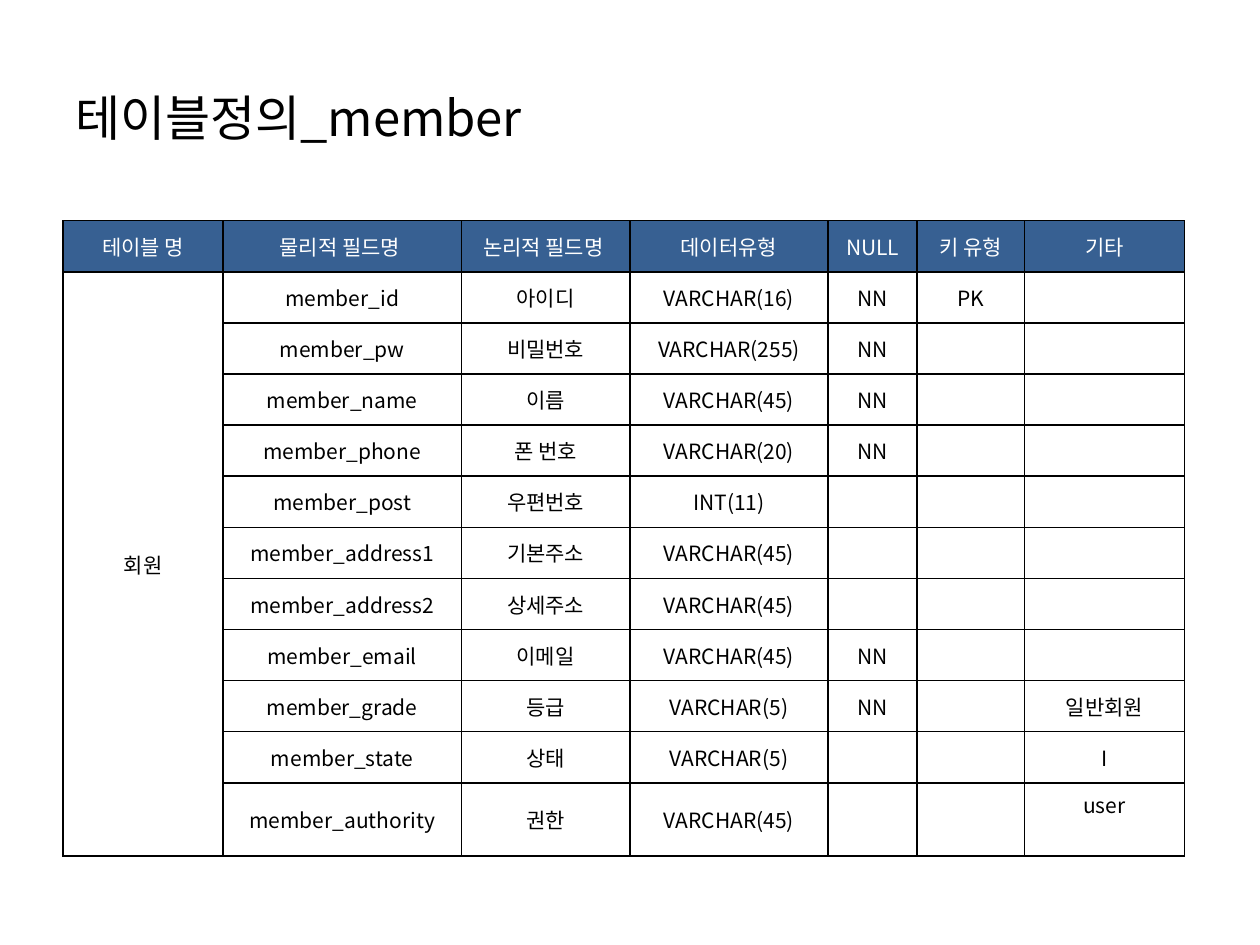
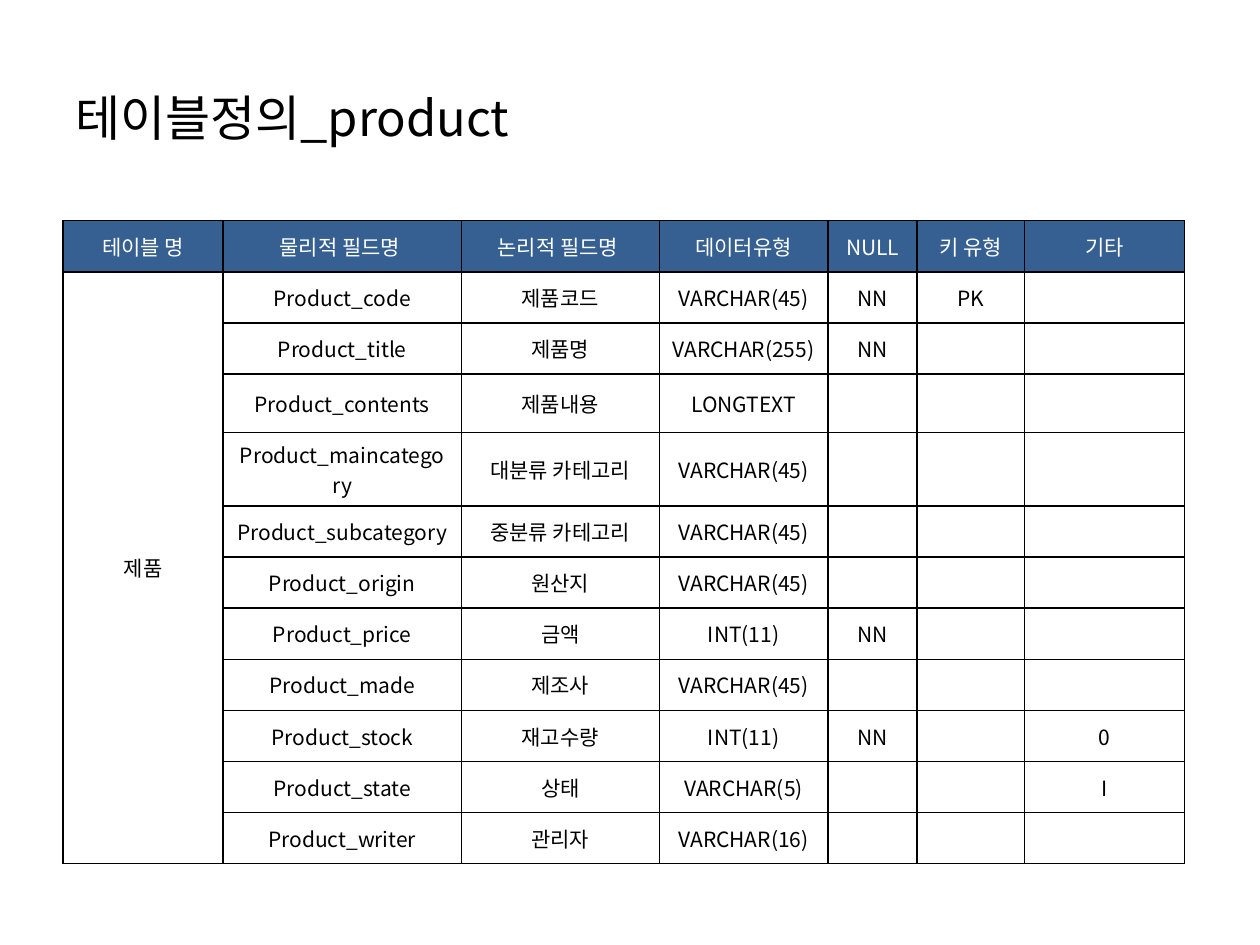
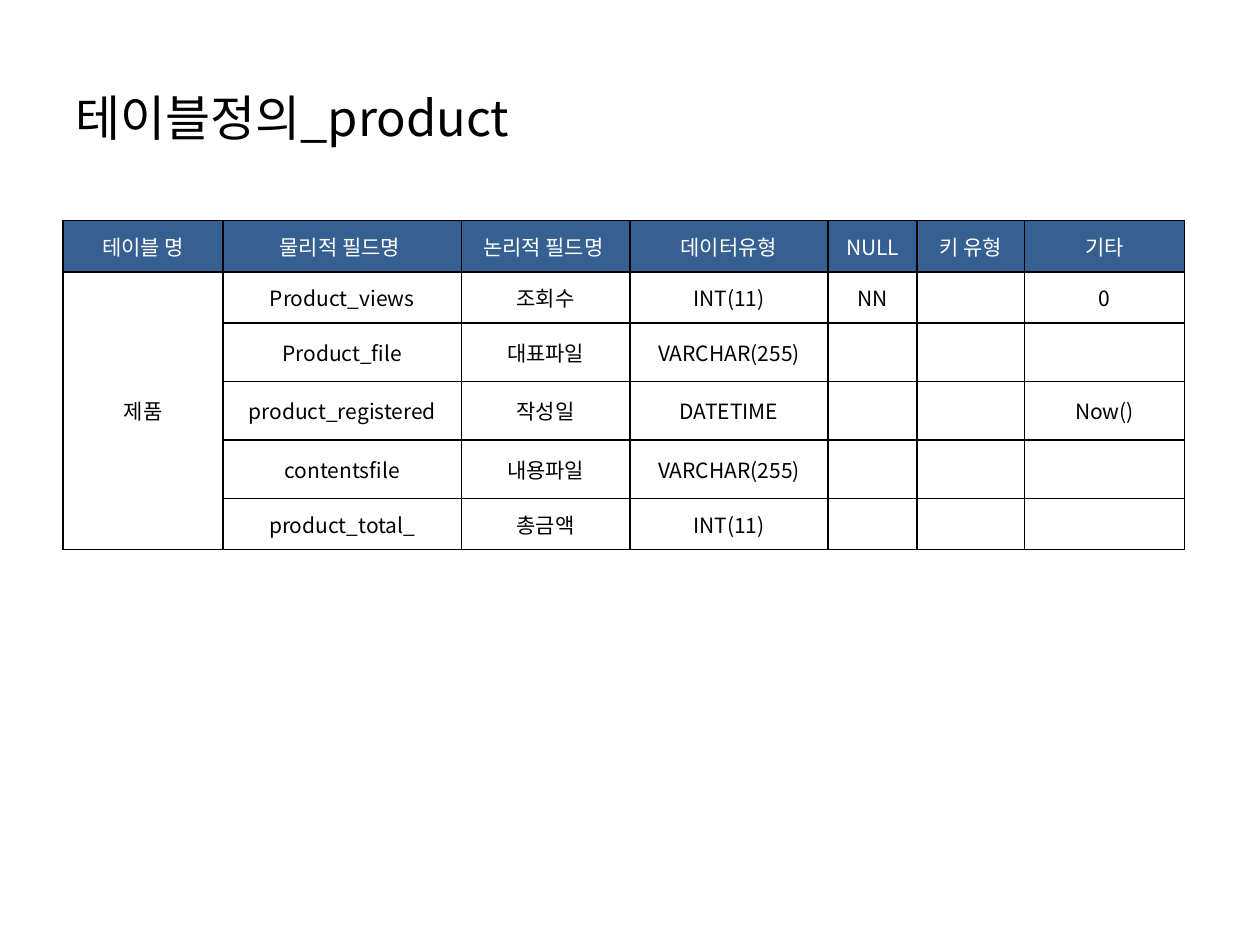
"""Builds three slides that define the fields of the member and product tables."""
from lxml import etree
from pptx import Presentation
from pptx import util as u
from pptx.dml.color import RGBColor
from pptx.enum import text
from pptx.oxml import ns

FONT = "Noto Sans CJK KR"
BLACK = RGBColor(0x00, 0x00, 0x00)
WHITE = RGBColor(0xFF, 0xFF, 0xFF)
NAVY = RGBColor(0x37, 0x60, 0x92)

HEADINGS = ("테이블 명", "물리적 필드명 ", "논리적 필드명 ", "데이터유형", "NULL", "키 유형", "기타")
WIDE_TYPE = (3.23, 4.8, 3.4, 3.99, 1.8, 2.16, 3.23)
WIDE_LABEL = (3.23, 4.8, 3.99, 3.4, 1.8, 2.16, 3.23)
ROW, TALL_ROW, DOUBLE_ROW = 1.03, 1.18, 1.48

MEMBER_FIELDS = (
    ("member_id", "아이디", "VARCHAR(16)", "NN", "PK", ""),
    ("member_pw", "비밀번호", "VARCHAR(255)", "NN", "", ""),
    ("member_name", "이름", "VARCHAR(45)", "NN", "", ""),
    ("member_phone", "폰 번호", "VARCHAR(20)", "NN", "", ""),
    ("member_post", "우편번호", "INT(11)", "", "", ""),
    ("member_address1", "기본주소", "VARCHAR(45)", "", "", ""),
    ("member_address2", "상세주소", "VARCHAR(45)", "", "", ""),
    ("member_email", "이메일", "VARCHAR(45)", "NN", "", ""),
    ("member_grade", "등급", "VARCHAR(5)", "NN", "", "일반회원"),
    ("member_state", "상태", "VARCHAR(5)", "", "", "I"),
    ("member_authority", "권한", "VARCHAR(45)", "", "", "user"),
)
PRODUCT_FIELDS = (
    ("Product_code", "제품코드", "VARCHAR(45)", "NN", "PK", ""),
    ("Product_title", "제품명", "VARCHAR(255)", "NN", "", ""),
    ("Product_contents", "제품내용", "LONGTEXT", "", "", ""),
    ("Product_maincategory", "대분류 카테고리", "VARCHAR(45)", "", "", ""),
    ("Product_subcategory", "중분류 카테고리", "VARCHAR(45)", "", "", ""),
    ("Product_origin", "원산지", "VARCHAR(45)", "", "", ""),
    ("Product_price", "금액", "INT(11)", "NN", "", ""),
    ("Product_made", "제조사", "VARCHAR(45)", "", "", ""),
    ("Product_stock", "재고수량", "INT(11)", "NN", "", "0"),
    ("Product_state", "상태", "VARCHAR(5)", "", "", "I"),
    ("Product_writer", "관리자", "VARCHAR(16)", "", "", ""),
)
PRODUCT_EXTRA_FIELDS = (
    ("Product_views", "조회수", "INT(11)", "NN", "", "0"),
    ("Product_file", "대표파일", "VARCHAR(255)", "", "", ""),
    ("product_registered", "작성일", "DATETIME", "", "", "Now()"),
    ("contentsfile", "내용파일", "VARCHAR(255)", "", "", ""),
    ("product_total_", "총금액", "INT(11)", "", "", ""),
)


def assign(target, values):
    """Set each named attribute of the target."""
    for name, value in values.items():
        setattr(target, name, value)


class Deck:
    """Holds the shared style and the current slide."""

    TITLE = {"size": u.Pt(28), "name": FONT}
    CELL = {"size": u.Pt(12), "name": FONT}
    TABLE = {"first_row": False, "horz_banding": False}
    FRAME = {"word_wrap": True, "vertical_anchor": text.MSO_ANCHOR.MIDDLE}

    def __init__(self):
        self.show = Presentation()
        assign(self.show, {"slide_width": u.Cm(25.4), "slide_height": u.Cm(19.05)})
        self.slide = None

    def add_slide(self):
        """Start a new blank slide."""
        self.slide = self.show.slides.add_slide(self.show.slide_layouts[6])

    def put_words(self, paragraph, words, style, color):
        """Add one styled run, or size the empty paragraph."""
        if not words:
            size = str(int(style["size"].pt * 100))
            etree.SubElement(paragraph._p, ns.qn("a:endParaRPr"), sz=size)
            return
        run = paragraph.add_run()
        run.text = words
        assign(run.font, style)
        run.font.color.rgb = color
        etree.SubElement(run._r.get_or_add_rPr(), ns.qn("a:ea"), typeface=FONT)

    def title(self, words):
        """Add the slide title."""
        box = self.slide.shapes.add_textbox(u.Cm(1.27), u.Cm(0.76), u.Cm(22.86), u.Cm(3.18))
        assign(box.text_frame, self.FRAME)
        self.put_words(box.text_frame.paragraphs[0], words, self.TITLE, BLACK)

    def border(self, cell):
        """Draw a thin black line on each side of a cell."""
        props = cell._tc.get_or_add_tcPr()
        for side in ("lnL", "lnR", "lnT", "lnB"):
            line = etree.SubElement(props, ns.qn(f"a:{side}"), w=str(u.Pt(1)))
            fill = etree.SubElement(line, ns.qn("a:solidFill"))
            etree.SubElement(fill, ns.qn("a:srgbClr"), val=str(BLACK))

    def cell(self, cell, words, heading):
        """Fill, frame and label one table cell."""
        self.border(cell)
        cell.vertical_anchor = text.MSO_ANCHOR.MIDDLE
        if heading:
            cell.fill.solid()
            cell.fill.fore_color.rgb = NAVY
        else:
            cell.fill.background()
        paragraph = cell.text_frame.paragraphs[0]
        paragraph.alignment = text.PP_ALIGN.CENTER
        self.put_words(paragraph, words, self.CELL, WHITE if heading else BLACK)

    def field_table(self, entity, fields, widths, heights):
        """Add the field table, with the entity name spanning its rows."""
        rows = [HEADINGS] + [("" if i else entity, *field) for i, field in enumerate(fields)]
        row_heights = [heights.get(i, ROW) for i in range(len(rows))]
        table = self.slide.shapes.add_table(
            len(rows), len(HEADINGS), u.Cm(1.27), u.Cm(4.45),
            u.Cm(sum(widths)), u.Cm(sum(row_heights))).table
        assign(table, self.TABLE)
        for column, width in zip(table.columns, widths):
            column.width = u.Cm(width)
        for r, (row, height) in enumerate(zip(rows, row_heights)):
            table.rows[r].height = u.Cm(height)
            for c, words in enumerate(row):
                self.cell(table.cell(r, c), words, r == 0)
        table.cell(1, 0).merge(table.cell(len(fields), 0))
        return table


def main():
    """Build and save the three slides."""
    deck = Deck()
    pages = (
        ("member", "회원", MEMBER_FIELDS, WIDE_TYPE, {11: DOUBLE_ROW}),
        ("product", "제품", PRODUCT_FIELDS, WIDE_LABEL, {3: TALL_ROW, 4: DOUBLE_ROW}),
        ("product", "제품", PRODUCT_EXTRA_FIELDS, WIDE_TYPE, dict.fromkeys((2, 3, 4), TALL_ROW)),
    )
    tables = []
    for name, entity, fields, widths, heights in pages:
        deck.add_slide()
        deck.title(f"테이블정의_{name}")
        tables.append(deck.field_table(entity, fields, widths, heights))
    default_authority = tables[0].cell(len(MEMBER_FIELDS), len(HEADINGS) - 1)
    default_authority.vertical_anchor = text.MSO_ANCHOR.TOP
    deck.show.save("out.pptx")


if __name__ == "__main__":
    main()
